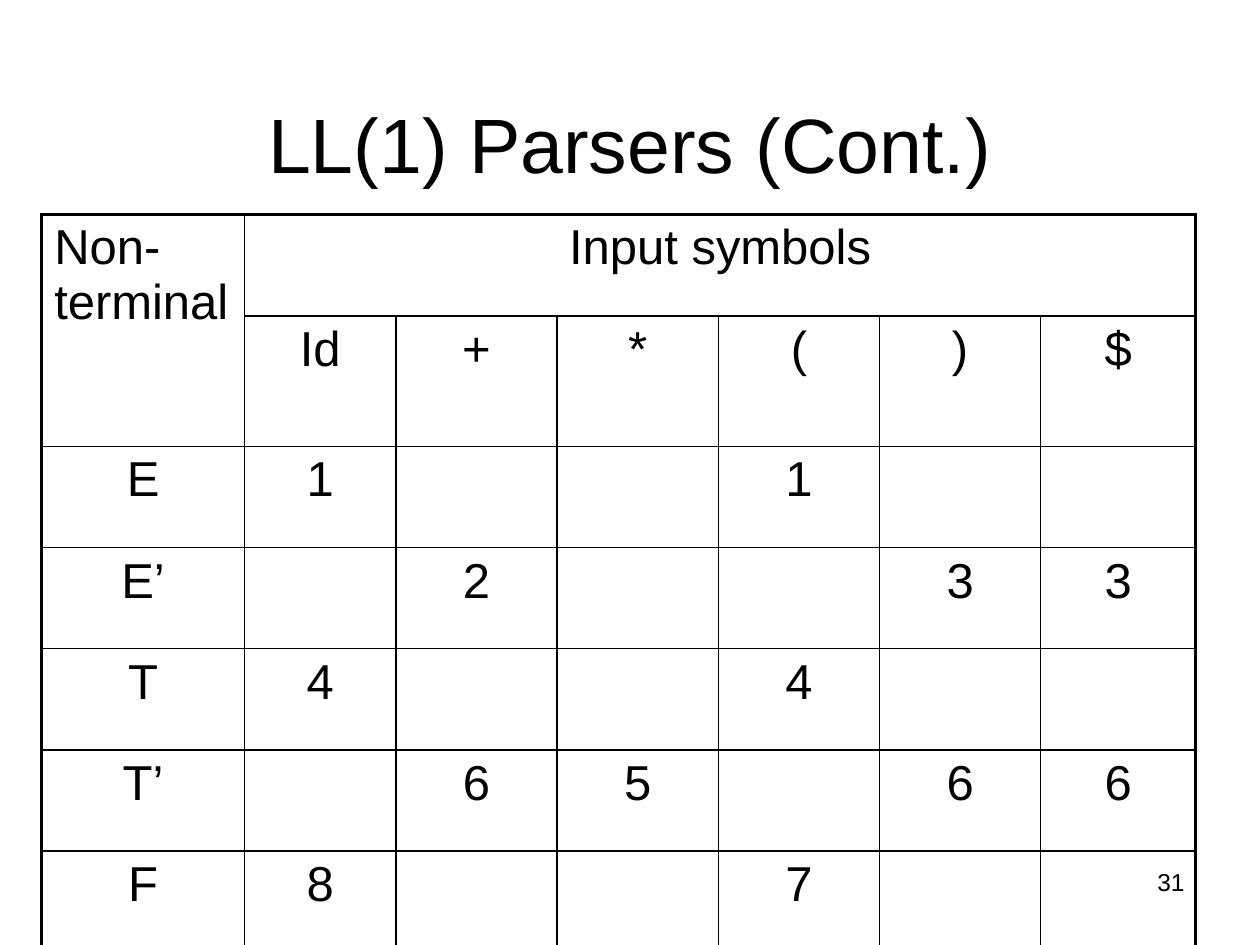
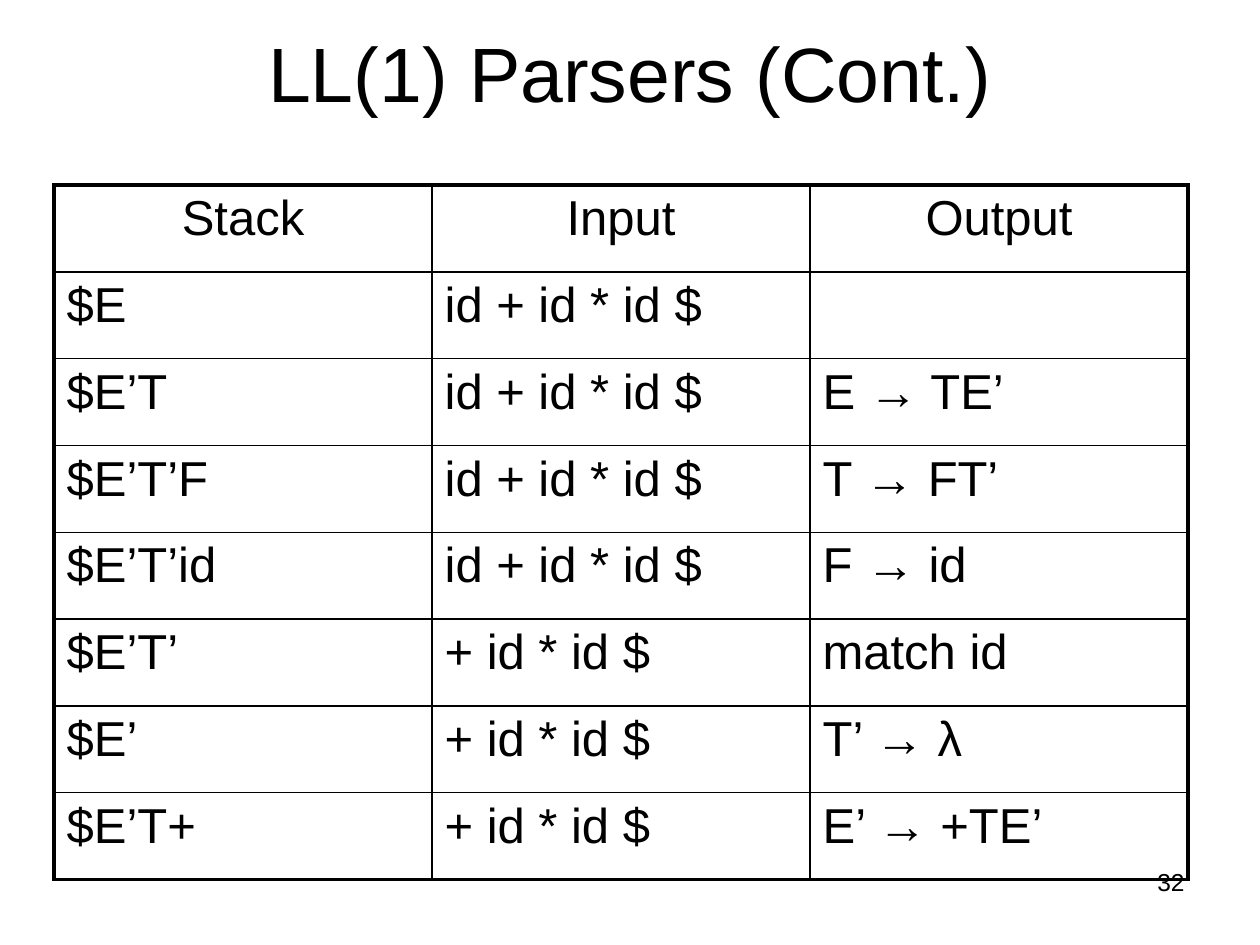
from lxml import etree
from pptx import Presentation
from pptx import util as u
from pptx.dml.color import RGBColor
from pptx.enum import text
from pptx.oxml import ns

Cm, Pt = u.Cm, u.Pt
LEFT, CENTER, RIGHT = (text.PP_ALIGN.LEFT, text.PP_ALIGN.CENTER,
                       text.PP_ALIGN.RIGHT)

# Content
TITLE = "LL(1) Parsers (Cont.)"

PARSE_TABLE = [
    ["Non-terminal", "Input symbols", "", "", "", "", ""],
    ["", "Id", "+", "*", "(", ")", "$"],
    ["E", "1", "", "", "1", "", ""],
    ["E’", "", "2", "", "", "3", "3"],
    ["T", "4", "", "", "4", "", ""],
    ["T’", "", "6", "5", "", "6", "6"],
    ["F", "8", "", "", "7", "", ""],
]

PARSE_TRACE = [
    ["Stack", "Input", "Output"],
    ["$E", "id + id * id $", ""],
    ["$E’T", "id + id * id $", "E → TE’"],
    ["$E’T’F", "id + id * id $", "T → FT’"],
    ["$E’T’id", "id + id * id $", "F → id"],
    ["$E’T’", "+ id * id $", "match id"],
    ["$E’", "+ id * id $", "T’ → λ"],
    ["$E’T+", "+ id * id $", "E’ → +TE’"],
]

# Each slide: number, title height, table place, sizes in cm, merged areas
SLIDES = [
    dict(number=31, title_height=3.18, rows=PARSE_TABLE, at=(0.84, 4.32),
         widths=[4.09, 3.05] + [3.25] * 4 + [3.12],
         heights=[2.05, 2.45] + [2.04] * 5,
         merges=[((0, 0), (1, 0)), ((0, 1), (0, 6))],
         align=lambda r, c: LEFT if r == c == 0 else CENTER),
    dict(number=32, title_height=1.75, rows=PARSE_TRACE, at=(1.09, 3.73),
         widths=[7.62] * 3, heights=[1.75] * 8, merges=[],
         align=lambda r, c: CENTER if r == 0 else LEFT),
]

# Shared style
FONT = "Arial"
COLORS = {"ink": "000000", "paper": "FFFFFF"}
SIZES = {"title": 44, "cell": 28, "number": 14}
THIN, THICK = 1, 2.25


def write(tf, words, size, align):
    tf.text = words
    p = tf.paragraphs[0]
    p.alignment = align
    for r in p.runs:
        r.font.name = FONT
        r.font.size = Pt(size)
        r.font.color.rgb = RGBColor.from_string(COLORS["ink"])
    return p


def add_text(s, box, words, size, align, anchor):
    tf = s.shapes.add_textbox(*map(Cm, box)).text_frame
    tf.word_wrap = True
    tf.vertical_anchor = anchor
    write(tf, words, size, align)


def space_before(p, percent):
    spacing = etree.SubElement(p._p.get_or_add_pPr(), ns.qn("a:spcBef"))
    etree.SubElement(spacing, ns.qn("a:spcPct"), val=str(percent * 1000))


def set_borders(cell, row, col, last_row, last_col):
    """Thick lines on the rim of the table, thin lines inside."""
    bottom, right = row, col
    if cell.is_merge_origin:
        bottom += cell.span_height - 1
        right += cell.span_width - 1
    on_rim = {"L": col == 0, "R": right == last_col,
              "T": row == 0, "B": bottom == last_row}
    sides = [side for side in on_rim if on_rim[side] or not cell.is_spanned]
    for i, side in enumerate(sides):
        width = THICK if on_rim[side] else THIN
        ln = etree.Element(ns.qn("a:ln" + side), w=str(Pt(width)))
        fill = etree.SubElement(ln, ns.qn("a:solidFill"))
        etree.SubElement(fill, ns.qn("a:srgbClr"), val=COLORS["ink"])
        cell._tc.get_or_add_tcPr().insert(i, ln)


def add_grid(s, rows, at, widths, heights, merges, align):
    box = (*at, sum(widths), sum(heights))
    table = s.shapes.add_table(len(rows), len(widths), *map(Cm, box)).table
    table.first_row = table.horz_banding = False
    for column, width in zip(table.columns, widths):
        column.width = Cm(width)
    for row, height in zip(table.rows, heights):
        row.height = Cm(height)
    for first, last in merges:
        table.cell(*first).merge(table.cell(*last))
    for r, line in enumerate(rows):
        for c, words in enumerate(line):
            cell = table.cell(r, c)
            cell.fill.background()
            set_borders(cell, r, c, len(rows) - 1, len(widths) - 1)
            if words:
                p = write(cell.text_frame, words, SIZES["cell"], align(r, c))
                space_before(p, 20)


def add_slide(prs, number, title_height, **grid):
    s = prs.slides.add_slide(prs.slide_layouts[6])
    s.background.fill.solid()
    s.background.fill.fore_color.rgb = RGBColor.from_string(COLORS["paper"])
    add_text(s, (18.21, 17.35, 5.92, 1.32), str(number), SIZES["number"],
             RIGHT, text.MSO_ANCHOR.TOP)
    add_text(s, (1.27, 0.76, 22.86, title_height), TITLE, SIZES["title"],
             CENTER, text.MSO_ANCHOR.BOTTOM)
    add_grid(s, **grid)


def main():
    prs = Presentation()
    prs.slide_width, prs.slide_height = Cm(25.4), Cm(19.05)
    for content in SLIDES:
        add_slide(prs, **content)
    prs.save("out.pptx")


if __name__ == "__main__":
    main()
